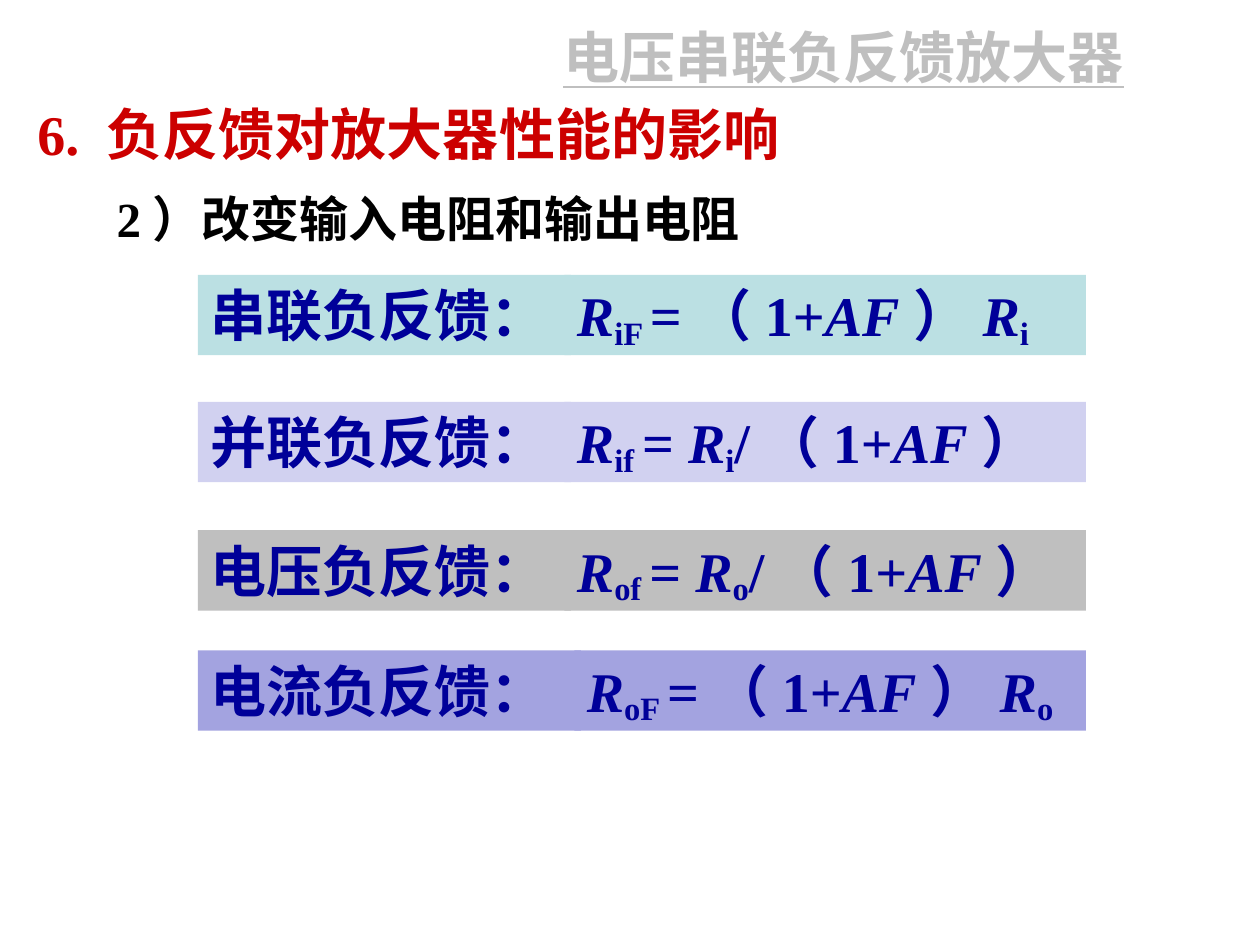
from pptx import Presentation
from pptx.dml.color import RGBColor
from pptx.enum.shapes import MSO_SHAPE
from pptx.enum.text import MSO_ANCHOR, MSO_AUTO_SIZE, PP_ALIGN
from pptx.util import Cm, Pt

RECT = MSO_SHAPE.RECTANGLE
TOP = MSO_ANCHOR.TOP
LEFT = PP_ALIGN.LEFT
NONE = MSO_AUTO_SIZE.NONE
SERIF = "Times New Roman"
SANS = "Noto Sans CJK SC"
BLUE = "000099"


def color(text):
    return RGBColor.from_string(text)


def write(shape, runs, size, face, ink):
    frame = shape.text_frame
    frame.word_wrap = True
    frame.auto_size = NONE
    frame.vertical_anchor = TOP
    para = frame.paragraphs[0]
    para.alignment = LEFT
    font = para.font
    font.name, font.size, font.bold = face, Pt(size), True
    font.color.rgb = color(ink)
    for text, style in runs:
        run = para.add_run()
        run.text = text
        if style == "italic":
            run.font.italic = True
        elif style == "sub":
            run._r.get_or_add_rPr().set("baseline", "-15000")
    return para


deck = Presentation()
deck.slide_width, deck.slide_height = Cm(25.4), Cm(19.05)
slide = deck.slides.add_slide(deck.slide_layouts[1])
shapes = slide.shapes

title = shapes.title
title.left, title.top, title.width, title.height = Cm(11.1), Cm(0.33), Cm(11.91), Cm(1.6)
para = write(title, [("电压串联负反馈放大器", "")], 32, "Arial", "BFBFBF")
para.font.underline = True

body = slide.placeholders[1]
body.left, body.top, body.width, body.height = Cm(0.5), Cm(1.88), Cm(22.63), Cm(2.2)
para = write(body, [("6. 负反馈对放大器性能的影响", "")], 32, SERIF, "CC0000")
props = para._p.get_or_add_pPr()
props.set("marL", str(Cm(0.95)))
props.set("indent", str(-Cm(0.95)))
bullet = props.makeelement(
    "{http://schemas.openxmlformats.org/drawingml/2006/main}buNone", {})
props.insert_element_before(bullet, "a:tabLst", "a:defRPr", "a:extLst")

head = shapes.add_textbox(Cm(2.1), Cm(3.68), Cm(19.6), Cm(1.45))
write(head, [("2）改变输入电阻和输出电阻", "")], 28, SERIF, "000000")

gain = [("1+", ""), ("AF", "italic"), ("）", "")]
rows = [
    (5.54, 11.38, "BBE0E3", "串联负反馈：",
     [("R", "italic"), ("iF ", "sub"), ("=（", ""), *gain, ("R", "italic"), ("i", "sub")]),
    (8.1, 11.38, "D1D1F0", "并联负反馈：",
     [("R", "italic"), ("if ", "sub"), ("= ", ""), ("R", "italic"), ("i", "sub"), ("/（", ""), *gain]),
    (10.69, 11.38, "BFBFBF", "电压负反馈：",
     [("R", "italic"), ("of ", "sub"), ("= ", ""), ("R", "italic"), ("o", "sub"), ("/（", ""), *gain]),
    (13.11, 11.58, "A3A3E0", "电流负反馈：",
     [("R", "italic"), ("oF ", "sub"), ("=（", ""), *gain, ("R", "italic"), ("o", "sub")]),
]
start, end, lap = 3.99, 21.89, 0.13
for top, split, fill, label, terms in rows:
    cells = [
        (start, split + lap, [(label, "")], SANS),
        (split, end, terms, SERIF),
    ]
    for left, right, runs, face in cells:
        box = shapes.add_shape(RECT, Cm(left), Cm(top), Cm(right - left), Cm(1.62))
        box.shadow.inherit = False
        box.fill.solid()
        box.fill.fore_color.rgb = color(fill)
        box.line.fill.background()
        write(box, runs, 32, face, BLUE)

deck.save("out.pptx")
